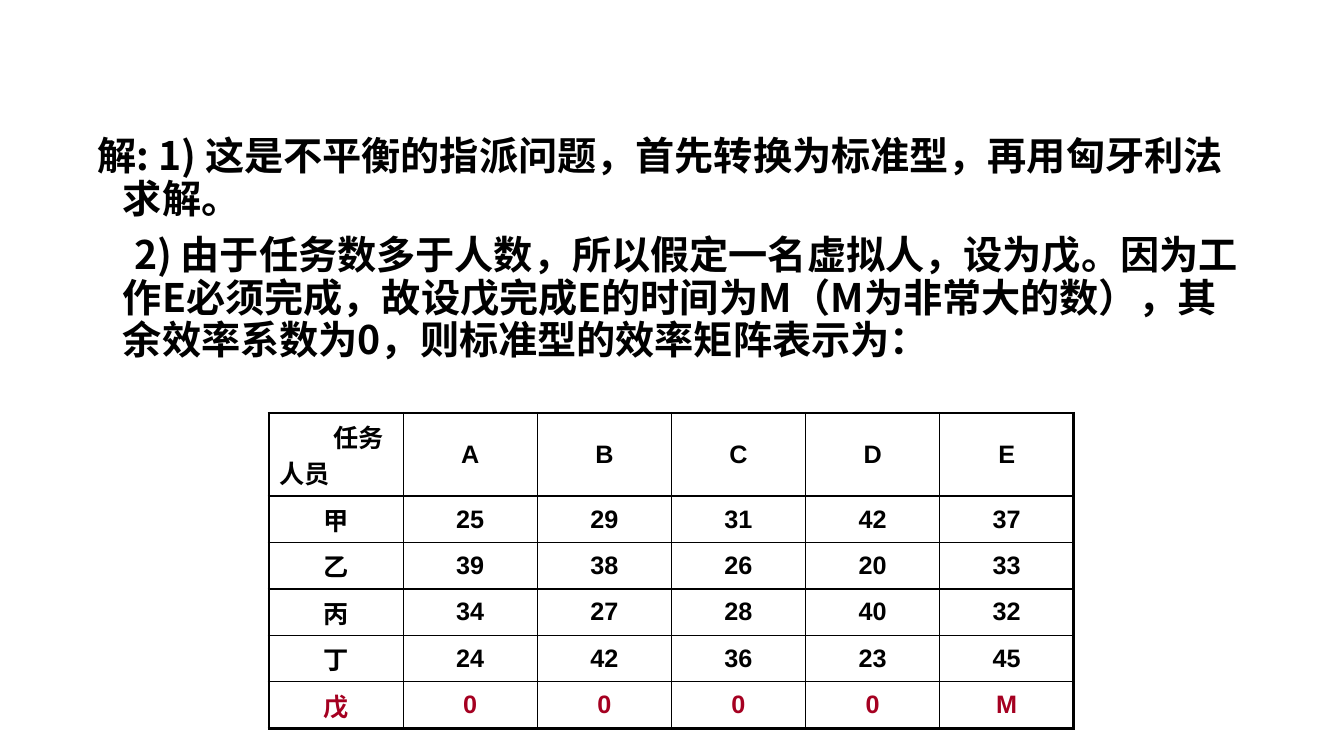
import pptx
import pptx.dml.color
import pptx.enum.text
import pptx.oxml.ns
import pptx.util
from lxml import etree

Cm = pptx.util.Cm
Pt = pptx.util.Pt
qn = pptx.oxml.ns.qn
ALIGN = pptx.enum.text.PP_ALIGN

BLACK = pptx.dml.color.RGBColor(0x00, 0x00, 0x00)
DARK_RED = pptx.dml.color.RGBColor(0xA5, 0x00, 0x21)
CJK_FONT = "Noto Sans CJK SC"


def write(para, text, size=18, font="Arial", color=BLACK, align=ALIGN.LEFT,
          left=0, first=0, spacing=None, before=0):
    """Put one bold run into a paragraph and format both."""
    para.alignment = align
    para.space_before = Pt(before)
    if spacing:
        para.line_spacing = spacing
    if left or first:
        properties = para._p.get_or_add_pPr()
        properties.set("marL", str(Cm(left)))
        properties.set("indent", str(Cm(first)))
    span = para.add_run()
    span.text = text
    span.font.size = Pt(size)
    span.font.bold = True
    span.font.name = font
    span.font.color.rgb = color
    east_asian = etree.SubElement(span._r.get_or_add_rPr(), qn("a:ea"))
    east_asian.set("typeface", CJK_FONT)


def add_border(cell, side, width):
    line = etree.SubElement(cell._tc.get_or_add_tcPr(), qn("a:" + side), w=str(Pt(width)))
    fill = etree.SubElement(line, qn("a:solidFill"))
    etree.SubElement(fill, qn("a:srgbClr"), val=str(BLACK))


deck = pptx.Presentation()
deck.slide_width = Cm(33.87)
deck.slide_height = Cm(19.05)
page = deck.slides.add_slide(deck.slide_layouts[6])

# Solution text
box = page.shapes.add_textbox(Cm(2.21), Cm(3.33), Cm(29.44), Cm(6.2))
frame = box.text_frame
frame.word_wrap = True
frame.margin_right = Cm(0.32)
write(frame.paragraphs[0],
      "解: 1) 这是不平衡的指派问题，首先转换为标准型，再用匈牙利法求解。",
      size=28, font=CJK_FONT, left=0.64, first=-0.64, spacing=0.9)
write(frame.add_paragraph(),
      "2) 由于任务数多于人数，所以假定一名虚拟人，设为戊。"
      "因为工作E必须完成，故设戊完成E的时间为M（M为非常大的数），"
      "其余效率系数为0，则标准型的效率矩阵表示为：",
      size=28, font=CJK_FONT, left=0.64, first=0.28, spacing=0.9, before=10)

# Efficiency matrix
matrix = [
    ["", "A", "B", "C", "D", "E"],
    ["甲", "25", "29", "31", "42", "37"],
    ["乙", "39", "38", "26", "20", "33"],
    ["丙", "34", "27", "28", "40", "32"],
    ["丁", "24", "42", "36", "23", "45"],
    ["戊", "0", "0", "0", "0", "M"],
]
last = len(matrix) - 1
row_heights = [2.09] + [1.17] * last
column_width = 3.38
table = page.shapes.add_table(len(matrix), len(matrix[0]), Cm(6.78), Cm(10.41),
                              Cm(column_width * len(matrix[0])),
                              Cm(sum(row_heights))).table
table.first_row = False
table.horz_banding = False
for column in table.columns:
    column.width = Cm(column_width)

for r, values in enumerate(matrix):
    table.rows[r].height = Cm(row_heights[r])
    for c, value in enumerate(values):
        cell = table.cell(r, c)
        cell.vertical_anchor = pptx.enum.text.MSO_ANCHOR.MIDDLE
        outer_sides = {"lnL": c == 0, "lnR": c == last, "lnT": r == 0, "lnB": r == last}
        for side, outer in outer_sides.items():
            add_border(cell, side, 2.25 if outer else 1)
        cell.fill.background()
        if value:
            write(cell.text_frame.paragraphs[0], value, align=ALIGN.CENTER,
                  color=DARK_RED if r == last else BLACK)

# Corner cell with both axis names
corner = table.cell(0, 0).text_frame
write(corner.paragraphs[0], "任务", align=ALIGN.CENTER, left=1.12)
write(corner.add_paragraph(), "人员")

deck.save("out.pptx")
